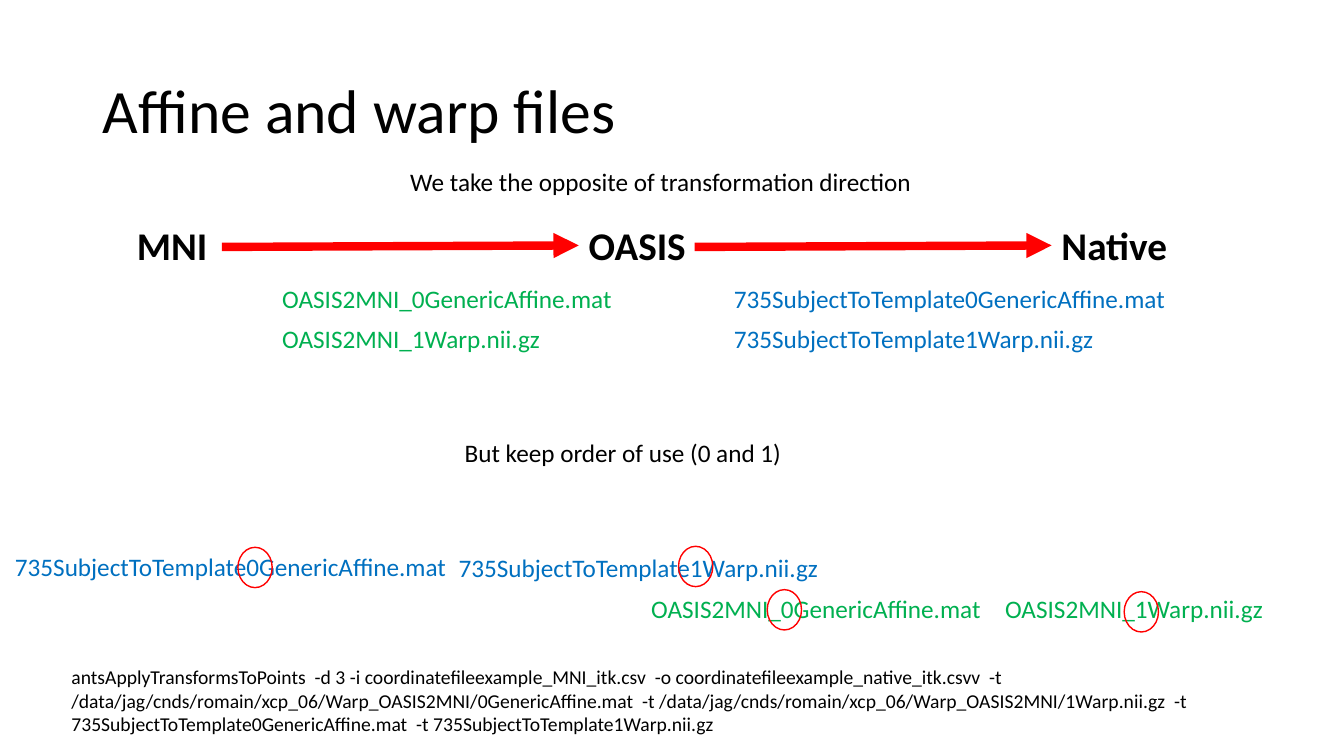
from lxml import etree
from pptx import Presentation
from pptx.dml.color import RGBColor
from pptx.enum.shapes import MSO_CONNECTOR, MSO_SHAPE
from pptx.enum.text import MSO_ANCHOR, MSO_AUTO_SIZE, PP_ALIGN
from pptx.oxml.ns import qn
from pptx.util import Inches, Pt

STRAIGHT = MSO_CONNECTOR.STRAIGHT
OVAL = MSO_SHAPE.OVAL
MIDDLE = MSO_ANCHOR.MIDDLE
FIT_SHAPE = MSO_AUTO_SIZE.SHAPE_TO_FIT_TEXT
LEFT = PP_ALIGN.LEFT

FONT = "Calibri"
BLACK, RED, GREEN, BLUE = "000000", "FF0000", "00B050", "0070C0"
LEFT_SIDE = 1
LINE_HEIGHT = 0.4
TEMPLATE_FILES = [
    ("OASIS2MNI_0GenericAffine.mat", 3.51),
    ("OASIS2MNI_1Warp.nii.gz", 2.78),
]
SUBJECT_FILES = [
    ("735SubjectToTemplate0GenericAffine.mat", 4.53),
    ("735SubjectToTemplate1Warp.nii.gz", 3.81),
]
COMMAND = (
    "antsApplyTransformsToPoints  -d 3 -i coordinatefileexample_MNI_itk.csv"
    "  -o coordinatefileexample_native_itk.csvv"
    "  -t /data/jag/cnds/romain/xcp_06/Warp_OASIS2MNI/0GenericAffine.mat"
    "  -t /data/jag/cnds/romain/xcp_06/Warp_OASIS2MNI/1Warp.nii.gz"
    "  -t 735SubjectToTemplate0GenericAffine.mat"
    "  -t 735SubjectToTemplate1Warp.nii.gz"
)


def color(hex_value):
    return RGBColor.from_string(hex_value)


def inches(box):
    return [Inches(length) for length in box]


def add_span(para, text, size, hex_value, bold=False):
    span = para.add_run()
    span.text = text
    span.font.name = FONT
    span.font.size = Pt(size)
    span.font.bold = bold
    span.font.color.rgb = color(hex_value)


def add_text(page, box, text, size=18, hex_value=BLACK, bold=False, wrap=True):
    shape = page.shapes.add_textbox(*inches(box))
    frame = shape.text_frame
    frame.word_wrap = wrap
    frame.auto_size = FIT_SHAPE
    add_span(frame.paragraphs[0], text, size, hex_value, bold)
    return shape


def add_title(page, box, text):
    title = page.shapes.title
    title.left, title.top, title.width, title.height = inches(box)
    title.text_frame.vertical_anchor = MIDDLE
    para = title.text_frame.paragraphs[0]
    para.alignment = LEFT
    para.line_spacing = 0.9
    add_span(para, text, 44, BLACK)


def add_arrow(page, start_x, y, target):
    arrow = page.shapes.add_connector(
        STRAIGHT, Inches(start_x), Inches(y), target.left, Inches(y))
    arrow.end_connect(target, LEFT_SIDE)
    arrow.line.color.rgb = color(RED)
    arrow.line.width = Pt(6)
    line = arrow.line._get_or_add_ln()
    etree.SubElement(line, qn("a:tailEnd"), type="triangle")
    etree.SubElement(arrow._element.spPr, qn("a:effectLst"))


def add_file_list(page, left, top, files, hex_value):
    for row, (name, width) in enumerate(files):
        box = (left, top + row * LINE_HEIGHT, width, LINE_HEIGHT)
        add_text(page, box, name, hex_value=hex_value, wrap=False)


def add_space_chain(page, box):
    left, top, width, height = box
    spaces = [("MNI", 0), ("OASIS", 4.48), ("Native", 9.17)]
    labels = [
        add_text(page, (left + offset, top, 1.44, 0.57), name, 28, bold=True)
        for name, offset in spaces
    ]
    for start, target in zip((0.94, 5.63), labels[1:]):
        add_arrow(page, left + start, top + 0.3, target)
    files_top = top + height - 2 * LINE_HEIGHT
    add_file_list(page, left + 1.44, files_top, TEMPLATE_FILES, GREEN)
    add_file_list(page, left + 5.92, files_top, SUBJECT_FILES, BLUE)


def add_ring(page, box):
    ring = page.shapes.add_shape(OVAL, *inches(box))
    ring.shadow.inherit = False
    ring.fill.background()
    ring.line.color.rgb = color(RED)
    ring.line.width = Pt(1)


def add_file_order(page, box):
    left, top, width, height = box
    rows = [
        (SUBJECT_FILES, BLUE, [(0, 0), (4.4, 0.01)]),
        (TEMPLATE_FILES, GREEN, [(6.31, 0.42), (9.82, 0.42)]),
    ]
    for files, hex_value, places in rows:
        for file, (x, y) in zip(files, places):
            add_file_list(page, left + x, top + y, [file], hex_value)
    for x, y in [(2.31, 0.01), (6.68, 0), (7.56, 0.43), (11.1, 0.45)]:
        add_ring(page, (left + x, top + y, 0.34, LINE_HEIGHT))


def main():
    deck = Presentation()
    deck.slide_width, deck.slide_height = Inches(13.33), Inches(7.5)
    page = deck.slides.add_slide(deck.slide_layouts[5])
    add_title(page, (0.92, 0.4, 11.5, 1.45), "Affine and warp files")
    add_text(page, (3.97, 1.6, 6.06, LINE_HEIGHT),
             "We take the opposite of transformation direction")
    add_space_chain(page, (1.26, 2.15, 10.61, 1.41))
    add_text(page, (4.51, 4.29, 3.99, LINE_HEIGHT),
             "But keep order of use (0 and 1)")
    add_file_order(page, (0.05, 5.42, 12.6, 0.85))
    add_text(page, (0.61, 6.55, 12.56, 0.81), COMMAND, 14)
    deck.save("out.pptx")


if __name__ == "__main__":
    main()
